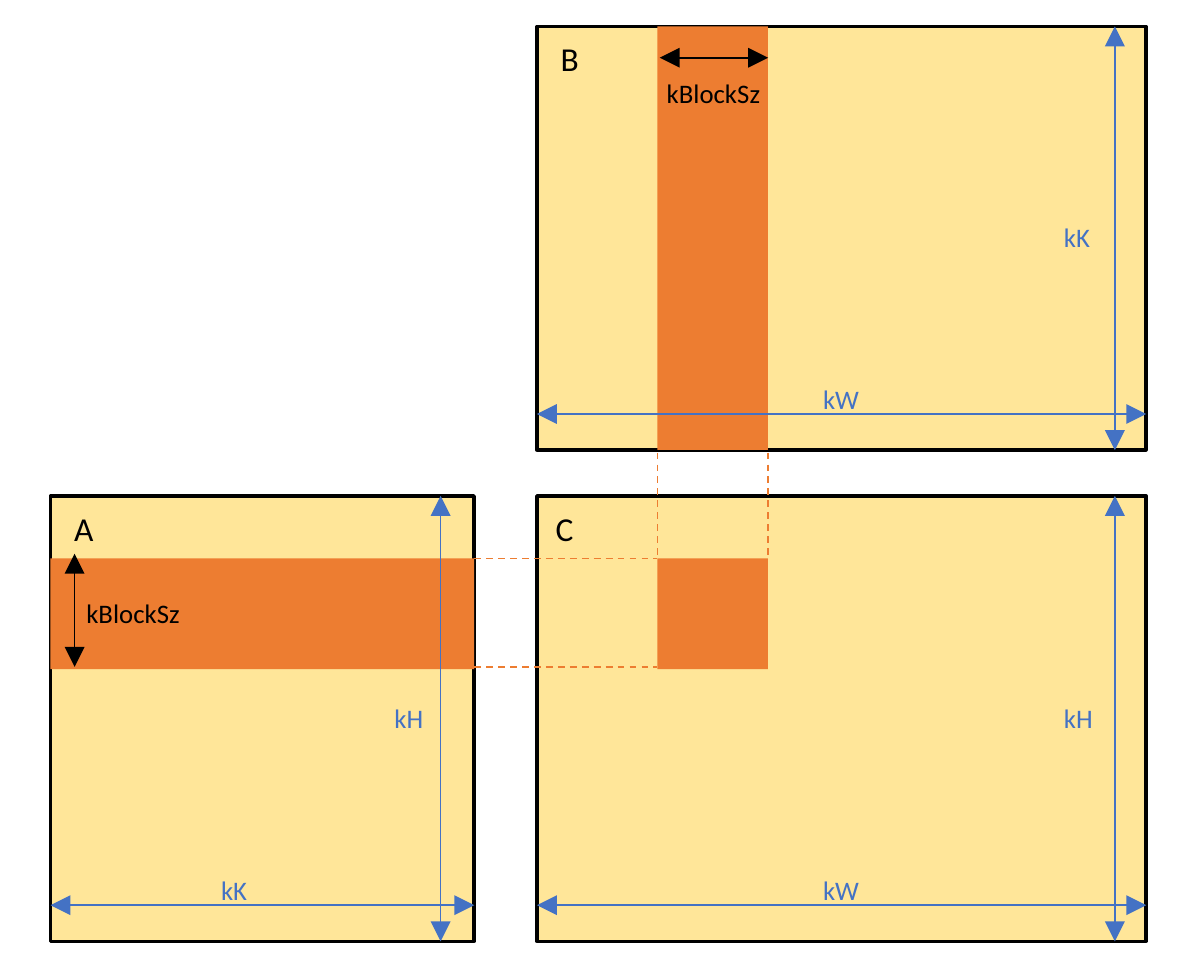
from lxml.etree import SubElement as Sub
from pptx import Presentation as Deck
from pptx.dml.color import RGBColor as Rgb
from pptx.enum.dml import MSO_LINE as Dash
from pptx.enum.shapes import MSO_CONNECTOR as Conn, MSO_SHAPE as Kind
from pptx.enum.text import MSO_AUTO_SIZE as Fit
from pptx.oxml.ns import qn
from pptx.util import Inches, Pt

COLS, ROWS = 500, 400
BLACK, BLUE, SAND, RUST = "000000", "4472C4", "FFE699", "ED7D31"


def hue(code):
    return Rgb.from_string(code)


class Sheet:
    """Draws matrix parts on a slide, placed by grid column and row."""

    def __init__(self, deck, font):
        self.font = font
        self.col = deck.slide_width / COLS
        self.row = deck.slide_height / ROWS
        self.slide = deck.slides.add_slide(deck.slide_layouts[6])

    def place(self, x, y, w, h):
        return [int(n) for n in (x * self.col, y * self.row, w * self.col, h * self.row)]

    def rect(self, area, fill, edge=None):
        box = self.slide.shapes.add_shape(Kind.RECTANGLE, *self.place(*area))
        box.shadow.inherit = False
        box.fill.solid()
        box.fill.fore_color.rgb = hue(fill)
        if edge:
            box.line.color.rgb = hue(edge)
            box.line.width = Pt(1)
        else:
            box.line.fill.background()

    def line(self, ends, tint, heads=True):
        link = self.slide.shapes.add_connector(Conn.STRAIGHT, *self.place(*ends))
        link.line.color.rgb = hue(tint)
        link.line.width = Pt(0.5)
        if heads:
            pen = link.line._get_or_add_ln()
            for tag in ("a:headEnd", "a:tailEnd"):
                Sub(pen, qn(tag)).set("type", "triangle")
        else:
            link.line.dash_style = Dash.DASH
        Sub(link._element.spPr, qn("a:effectLst"))

    def text(self, area, words, size, tint):
        box = self.slide.shapes.add_textbox(*self.place(*area))
        frame = box.text_frame
        frame.word_wrap = True
        frame.auto_size = Fit.SHAPE_TO_FIT_TEXT
        run = frame.paragraphs[0].add_run()
        run.text = words
        run.font.name = self.font
        run.font.size = Pt(size)
        run.font.color.rgb = hue(tint)


def main():
    deck = Deck()
    deck.slide_width, deck.slide_height = Inches(5), Inches(4)
    sheet = Sheet(deck, "Calibri")

    mats = [
        ("A", 21, (21, 206, 176, 185), "kK", 82, "kH", 154, 183),
        ("B", 223, (223, 11, 253, 176), "kW", 332, "kK", 432, 463),
        ("C", 221, (223, 206, 253, 185), "kW", 332, "kH", 432, 463),
    ]
    bands = [(21, 232, 176, 46), (273, 11, 46, 176), (273, 232, 46, 46)]

    for mat in mats:
        sheet.rect(mat[2], SAND, BLACK)
    for band in bands:
        sheet.rect(band, RUST)

    for name, left, (x, y, w, h), wide, wide_x, tall, tall_x, side in mats:
        base = y + h - 15
        sheet.text((left, y, 46, 27), name, 10, BLACK)
        sheet.line((side, y, side, y + h), BLUE)
        sheet.line((x + w, base, x, base), BLUE)
        sheet.text((tall_x, y + h / 2 - 12, 54, 24), tall, 8, BLUE)
        sheet.text((wide_x, base - 18, 54, 24), wide, 8, BLUE)

    sheet.line((31, 230, 31, 277), BLACK)
    sheet.line((274, 24, 319, 24), BLACK)
    for x, y in ((26, 243), (267, 27)):
        sheet.text((x, y, 82, 24), "kBlockSz", 8, BLACK)

    for y in (232, 277):
        sheet.line((197, y, 273, y), RUST, heads=False)
    for x in (273, 319):
        sheet.line((x, 188, x, 232), RUST, heads=False)

    deck.save("out.pptx")


if __name__ == "__main__":
    main()
